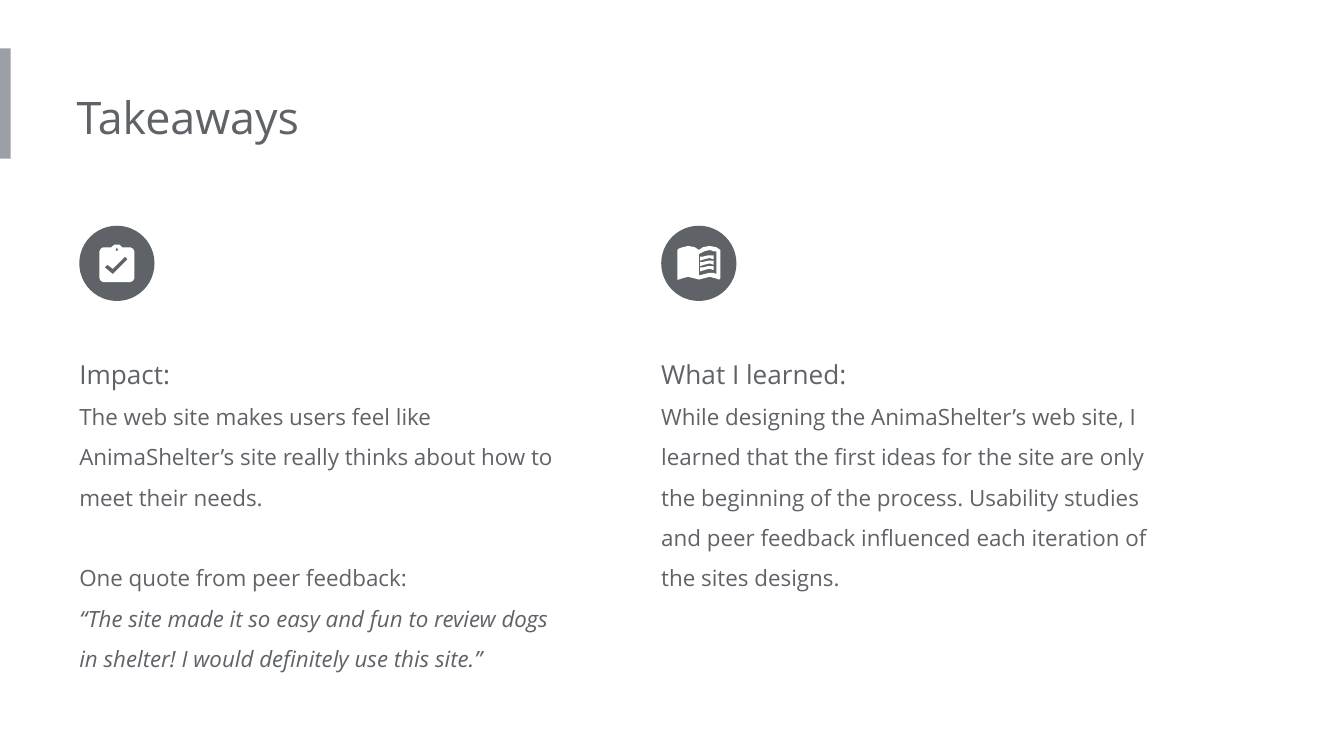
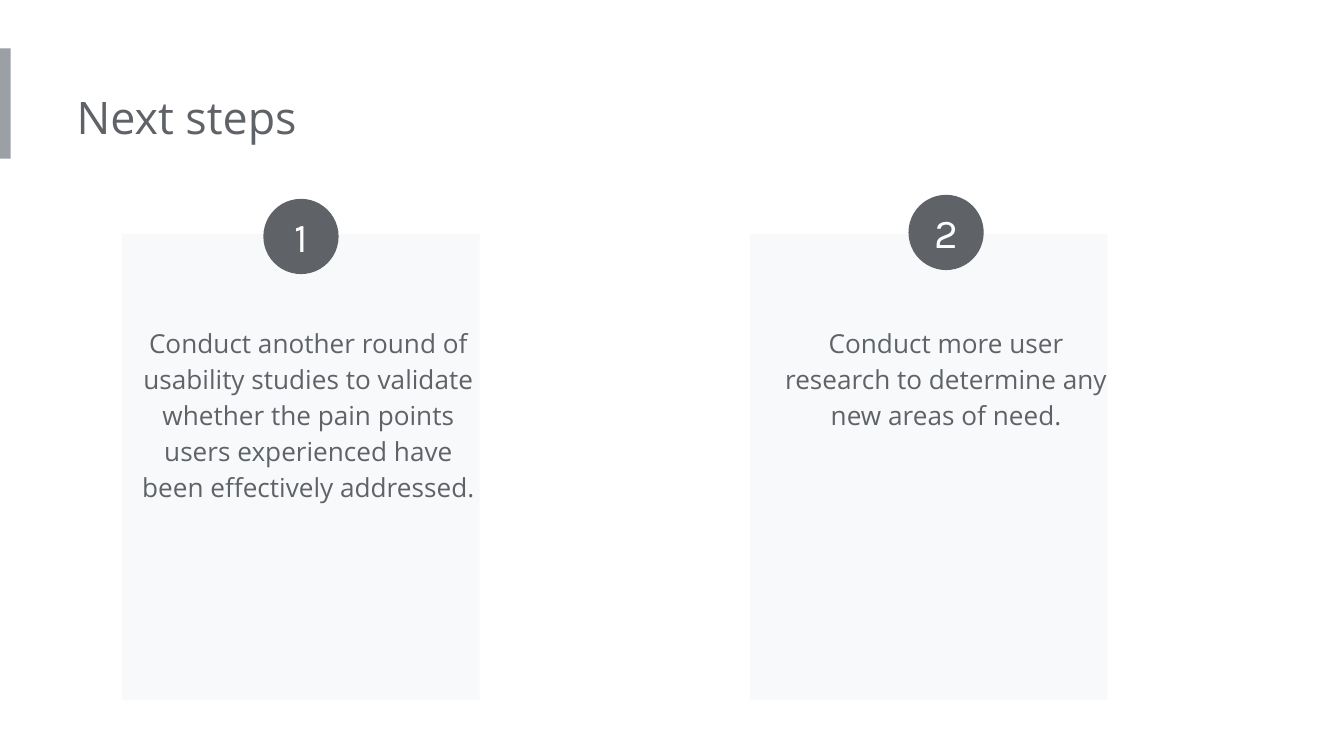
from pptx import Presentation
from pptx.dml.color import RGBColor
from pptx.enum.shapes import MSO_SHAPE
from pptx.enum.text import MSO_ANCHOR, MSO_AUTO_SIZE, PP_ALIGN
from pptx.util import Inches, Pt

COLORS = {"text": "5F6368", "bar": "9AA0A6", "card": "F8F9FA", "white": "FFFFFF"}
BODY_FONT = "Open Sans"
NUMBER_FONT = "Karla"
BADGE = 0.56
BADGE_TOP = 1.68
TAKEAWAY_TOP, TAKEAWAY_WIDTH = 2.45, 3.77
CARD_TOP, CARD_WIDTH, CARD_HEIGHT = 1.74, 2.66, 3.47
STEP_TOP = 2.3

CLIPBOARD = [
    [(0.97, 1.84), (0.91, 1.84), (0.9, 1.83), (0.89, 1.82), (0.87, 1.82), (0.85, 1.82),
     (0.84, 1.83), (0.83, 1.84), (0.77, 1.84), (0.75, 1.85), (0.74, 1.87), (0.74, 2.07),
     (0.75, 2.09), (0.77, 2.1), (0.97, 2.1), (0.99, 2.09), (1, 2.07), (1, 1.87),
     (0.99, 1.85)],
    [(0.87, 1.84), (0.88, 1.86), (0.87, 1.87), (0.86, 1.86)],
    [(0.84, 2.04), (0.78, 1.99), (0.8, 1.97), (0.84, 2), (0.93, 1.91), (0.95, 1.93)],
]
BOOK = [
    [(5.12, 1.83), (5.08, 1.84), (5.05, 1.85), (5.04, 1.86), (5.04, 2.08), (5.05, 2.08),
     (5.08, 2.07), (5.12, 2.06), (5.16, 2.07), (5.2, 2.08), (5.24, 2.07), (5.28, 2.06),
     (5.32, 2.07), (5.35, 2.08), (5.36, 2.07), (5.36, 1.86), (5.33, 1.84), (5.28, 1.83),
     (5.23, 1.84), (5.2, 1.86), (5.17, 1.84)],
    [(5.28, 1.86), (5.31, 1.87), (5.33, 1.87), (5.33, 2.04), (5.31, 2.03), (5.28, 2.03),
     (5.24, 2.04), (5.2, 2.05), (5.2, 1.89), (5.24, 1.87)],
]
TEXT_LINE = [(5.27, 1.9), (5.23, 1.91), (5.21, 1.91), (5.21, 1.94), (5.24, 1.93),
             (5.28, 1.92), (5.31, 1.93), (5.31, 1.9)]
TEXT_LINES = [[(x, y + 0.04 * row) for x, y in TEXT_LINE] for row in range(3)]

TAKEAWAYS = [
    {"left": 0.59, "height": 2.68, "icon": [CLIPBOARD], "paragraphs": [
        {"text": "Impact:", "size": 14},
        {"text": "The web site makes users feel like AnimaShelter’s site really thinks "
                 "about how to meet their needs."},
        {"text": "One quote from peer feedback:", "before": 21.6},
        {"text": "“The site made it so easy and fun to review dogs in shelter! "
                 "I would definitely use this site.”", "italic": True},
    ]},
    {"left": 4.92, "height": 2.07, "icon": [BOOK] + [[line] for line in TEXT_LINES],
     "paragraphs": [
        {"text": "What I learned:", "size": 14},
        {"text": "While designing the AnimaShelter’s web site, I learned that the first "
                 "ideas for the site are only the beginning of the process. Usability "
                 "studies and peer feedback influenced each iteration of the sites designs."},
    ]},
]
NEXT_STEPS = [
    {"card": 0.91, "badge": (1.96, 1.48), "box": (0.94, 2.71, 1.52),
     "text": "Conduct another round of usability studies to validate whether the pain "
             "points users experienced have been effectively addressed."},
    {"card": 5.58, "badge": (6.76, 1.45), "box": (5.71, 2.66, 0.98),
     "text": "Conduct more user research to determine any new areas of need."},
]


def paint(shape, color):
    shape.shadow.inherit = False
    shape.fill.solid()
    shape.fill.fore_color.rgb = RGBColor.from_string(COLORS[color])
    shape.line.fill.background()
    return shape


def add_block(slide, preset, left, top, width, height, color):
    return paint(slide.shapes.add_shape(
        preset, Inches(left), Inches(top), Inches(width), Inches(height)), color)


def add_badge(slide, left, top):
    return add_block(slide, MSO_SHAPE.OVAL, left, top, BADGE, BADGE, "text")


def add_outline(slide, contours):
    builder = None
    for contour in contours:
        points = [(Inches(x), Inches(y)) for x, y in contour]
        if builder is None:
            builder = slide.shapes.build_freeform(*points[0])
        else:
            builder.move_to(*points[0])
        builder.add_line_segments(points[1:], close=True)
    paint(builder.convert_to_shape(), "white")


def add_run(paragraph, text, size, color="text", font=BODY_FONT, italic=None):
    run = paragraph.add_run()
    run.text = text
    run.font.name = font
    run.font.size = Pt(size)
    run.font.italic = italic
    run.font.color.rgb = RGBColor.from_string(COLORS[color])


def set_frame(frame, left_inset=0.0, inset=0.1, anchor=MSO_ANCHOR.TOP,
              auto_size=MSO_AUTO_SIZE.SHAPE_TO_FIT_TEXT):
    frame.word_wrap = True
    frame.auto_size = auto_size
    frame.vertical_anchor = anchor
    frame.margin_left = Inches(left_inset)
    frame.margin_top = frame.margin_right = frame.margin_bottom = Inches(inset)


def add_text(slide, left, top, width, height, paragraphs, spacing,
             align=PP_ALIGN.LEFT, left_inset=0.0):
    frame = slide.shapes.add_textbox(
        Inches(left), Inches(top), Inches(width), Inches(height)).text_frame
    set_frame(frame, left_inset)
    for index, content in enumerate(paragraphs):
        paragraph = frame.add_paragraph() if index else frame.paragraphs[0]
        paragraph.alignment = align
        paragraph.line_spacing = spacing
        if "before" in content:
            paragraph.space_before = Pt(content["before"])
        add_run(paragraph, content["text"], content.get("size", 12),
                italic=content.get("italic"))


def add_titled_slide(deck, heading):
    slide = deck.slides.add_slide(deck.slide_layouts[5])
    add_block(slide, MSO_SHAPE.RECTANGLE, 0, 0.36, 0.08, 0.82, "bar")
    title = slide.shapes.title
    title.left, title.top = Inches(0.57), Inches(0.57)
    title.width, title.height = Inches(5.39), Inches(0.61)
    set_frame(title.text_frame)
    paragraph = title.text_frame.paragraphs[0]
    paragraph.alignment = PP_ALIGN.LEFT
    add_run(paragraph, heading, 24)
    return slide


def build_takeaways(deck):
    slide = add_titled_slide(deck, "Takeaways")
    for takeaway in TAKEAWAYS:
        add_text(slide, takeaway["left"], TAKEAWAY_TOP, TAKEAWAY_WIDTH,
                 takeaway["height"], takeaway["paragraphs"], 1.5)
        add_badge(slide, takeaway["left"], BADGE_TOP)
        for contours in takeaway["icon"]:
            add_outline(slide, contours)


def build_next_steps(deck):
    slide = add_titled_slide(deck, "Next steps")
    for number, step in enumerate(NEXT_STEPS, 1):
        add_block(slide, MSO_SHAPE.RECTANGLE, step["card"], CARD_TOP,
                  CARD_WIDTH, CARD_HEIGHT, "card")
        badge = add_badge(slide, *step["badge"])
        set_frame(badge.text_frame, inset=0, anchor=MSO_ANCHOR.MIDDLE,
                  auto_size=MSO_AUTO_SIZE.NONE)
        paragraph = badge.text_frame.paragraphs[0]
        paragraph.alignment = PP_ALIGN.CENTER
        add_run(paragraph, str(number), 22, "white", NUMBER_FONT)
        left, width, height = step["box"]
        add_text(slide, left, STEP_TOP, width, height,
                 [{"text": step["text"], "size": 14}], 1.15, PP_ALIGN.CENTER, 0.1)


def main():
    deck = Presentation()
    deck.slide_width = Inches(10)
    deck.slide_height = deck.slide_width * 9 // 16
    build_takeaways(deck)
    build_next_steps(deck)
    deck.save("out.pptx")


if __name__ == "__main__":
    main()
